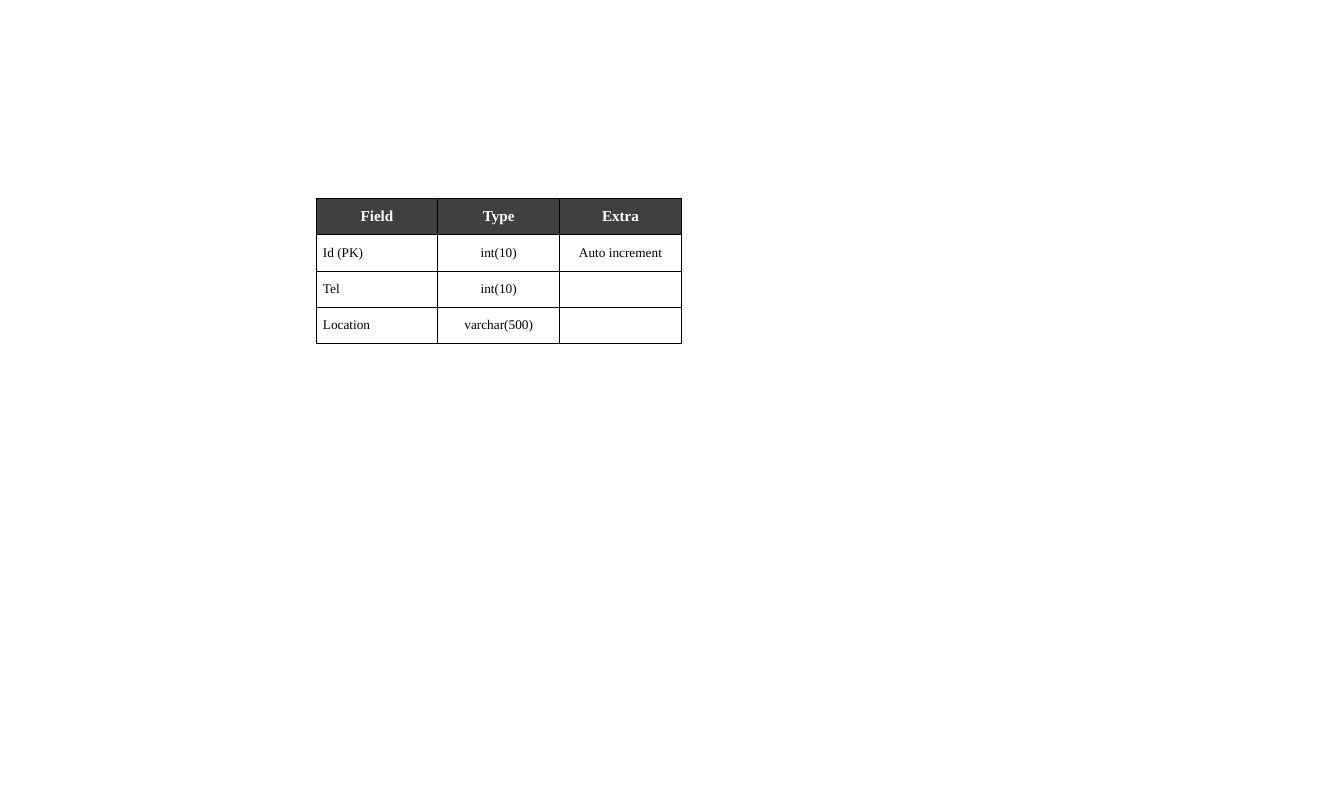
from dataclasses import dataclass

from lxml import etree
from pptx import Presentation
from pptx.dml.color import RGBColor
from pptx.enum.text import MSO_ANCHOR, PP_ALIGN
from pptx.oxml.ns import qn
from pptx.util import Cm, Pt

LEFT, CENTER = PP_ALIGN.LEFT, PP_ALIGN.CENTER
MIDDLE = MSO_ANCHOR.MIDDLE
FONT = "Times New Roman"
COLORS = {"head": "404040", "light": "FFFFFF", "dark": "000000"}
EDGES = ("a:lnL", "a:lnR", "a:lnT", "a:lnB")
COL_W, ROW_H = Cm(4.53), Cm(1.35)


@dataclass
class Column:
    title: str
    values: tuple[str, ...]
    align: PP_ALIGN = CENTER


COLUMNS = [
    Column("Field", ("Id (PK)", "Tel", "Location"), LEFT),
    Column("Type", ("int(10)", "int(10)", "varchar(500)")),
    Column("Extra", ("Auto increment", "", "")),
]


def add_edges(cell) -> None:
    """Draw a thin line on all four sides; lines come before the fill."""
    props = cell._tc.get_or_add_tcPr()
    for spot, edge in enumerate(EDGES):
        line = etree.Element(qn(edge), w=str(Pt(1)))
        fill = etree.SubElement(line, qn("a:solidFill"))
        etree.SubElement(fill, qn("a:srgbClr"), val=COLORS["dark"])
        props.insert(spot, line)


def fill_cell(cell, text: str, align: PP_ALIGN, head: bool) -> None:
    cell.vertical_anchor = MIDDLE
    if head:
        cell.fill.solid()
        cell.fill.fore_color.rgb = RGBColor.from_string(COLORS["head"])
    else:
        cell.fill.background()
    add_edges(cell)
    cell.text = text
    par = cell.text_frame.paragraphs[0]
    par.alignment = align
    par.font.name = FONT
    par.font.size = Pt(16 if head else 14)
    par.font.bold = head
    par.font.color.rgb = RGBColor.from_string(COLORS["light" if head else "dark"])


# Slide
deck = Presentation()
deck.slide_width, deck.slide_height = Cm(50), Cm(30)
slide = deck.slides.add_slide(deck.slide_layouts[6])

# Field table
count = 1 + len(COLUMNS[0].values)
table = slide.shapes.add_table(
    count, len(COLUMNS), Cm(11.76), Cm(7.39), COL_W * len(COLUMNS), ROW_H * count
).table
for row in table.rows:
    row.height = ROW_H
for c, col in enumerate(COLUMNS):
    table.columns[c].width = COL_W
    fill_cell(table.cell(0, c), col.title, CENTER, True)
    for r, value in enumerate(col.values, start=1):
        fill_cell(table.cell(r, c), value, col.align, False)

deck.save("out.pptx")
